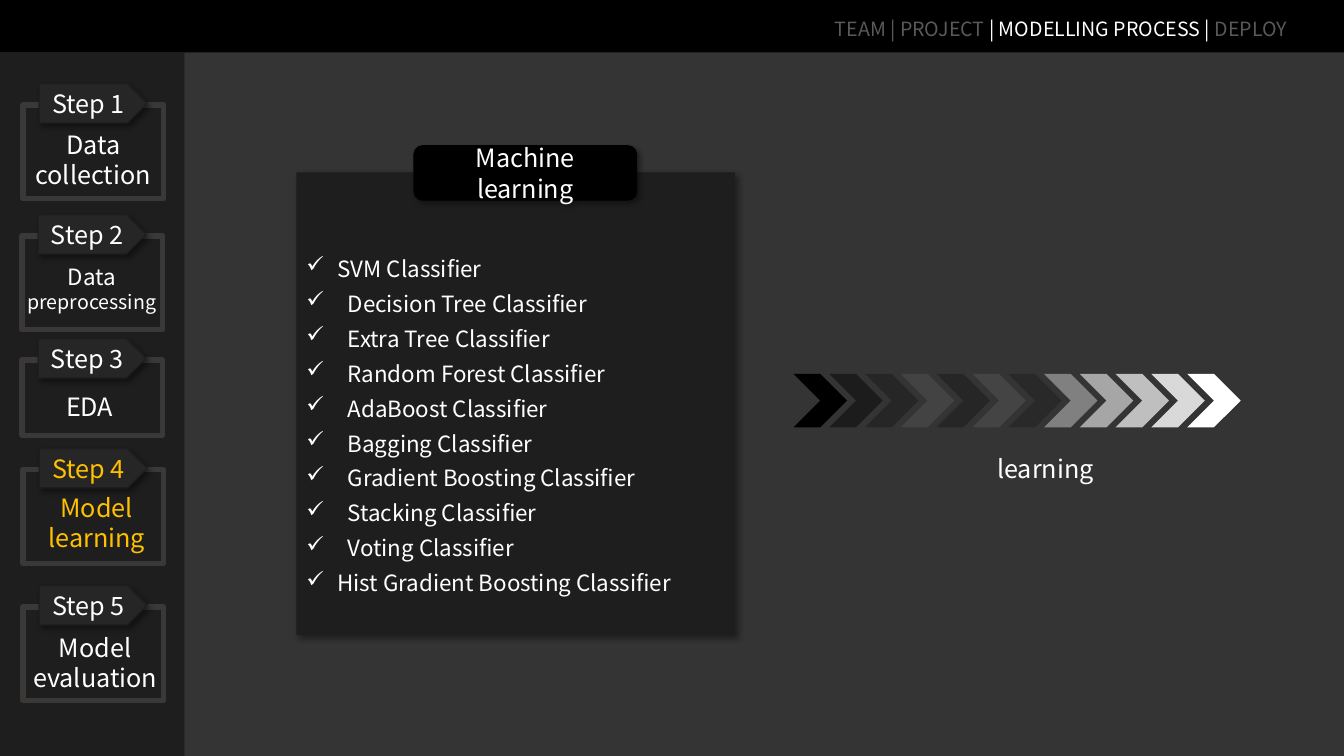
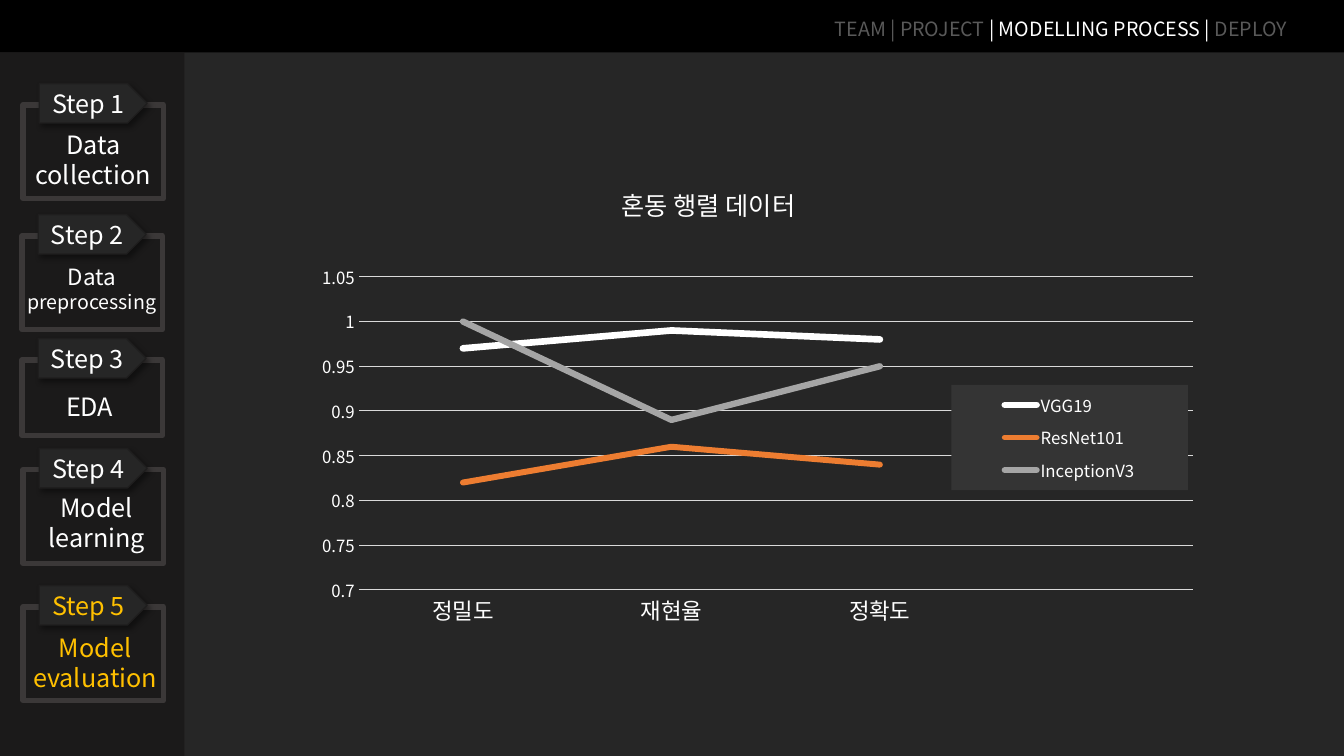
from lxml import etree
from pptx import Presentation
from pptx.chart.data import CategoryChartData
from pptx.dml.color import RGBColor
from pptx.enum.chart import XL_CHART_TYPE, XL_LEGEND_POSITION, XL_TICK_MARK
from pptx.enum.shapes import MSO_SHAPE
from pptx.enum.text import MSO_ANCHOR, MSO_AUTO_SIZE, PP_ALIGN
from pptx.oxml.ns import qn
from pptx.util import Inches, Pt

LEFT, CENTER = PP_ALIGN.LEFT, PP_ALIGN.CENTER
TOP = MSO_ANCHOR.TOP
NO_AUTOFIT = MSO_AUTO_SIZE.NONE
RECTANGLE, PENTAGON = MSO_SHAPE.RECTANGLE, MSO_SHAPE.PENTAGON
ROUNDED, CHEVRON = MSO_SHAPE.ROUNDED_RECTANGLE, MSO_SHAPE.CHEVRON
LINE_CHART = XL_CHART_TYPE.LINE
LEGEND_RIGHT = XL_LEGEND_POSITION.RIGHT
NO_TICK = XL_TICK_MARK.NONE

FONT = "Noto Sans CJK KR"
WHITE, BLACK, ACCENT, MUTED = "FFFFFF", "000000", "FFC000", "595959"
GRID, PANEL, TAG, FRAME = "D9D9D9", "1F1E1E", "262626", "3B3838"


def paint(shape, fill=None, alpha=100, line=None, width=1, shadow=False):
    shape.shadow.inherit = False
    if fill:
        shape.fill.solid()
        shape.fill.fore_color.rgb = RGBColor.from_string(fill)
        if alpha < 100:
            color = shape._element.spPr.find(".//" + qn("a:srgbClr"))
            etree.SubElement(color, qn("a:alpha"), val=str(alpha * 1000))
    else:
        shape.fill.background()
    if line:
        shape.line.color.rgb = RGBColor.from_string(line)
        shape.line.width = Pt(width)
    else:
        shape.line.fill.background()
    if shadow:
        effects = shape._element.spPr.find(qn("a:effectLst"))
        outer = etree.SubElement(effects, qn("a:outerShdw"), blurRad=str(Pt(4)),
                                 dist=str(Pt(3)), dir="2700000", algn="tl", rotWithShape="0")
        color = etree.SubElement(outer, qn("a:srgbClr"), val=BLACK)
        etree.SubElement(color, qn("a:alpha"), val="40000")


def write(paragraph, text, size=18, color=WHITE, align=CENTER):
    paragraph.alignment = align
    run = paragraph.add_run()
    run.text = text
    run.font.name = FONT
    run.font.size = Pt(size)
    run.font.bold = False
    run.font.color.rgb = RGBColor.from_string(color)


presentation = Presentation()
presentation.slide_width = Inches(13.33)
presentation.slide_height = Inches(7.5)

navigation = [("TEAM | PROJECT ", MUTED), ("| MODELLING PROCESS | ", WHITE), ("DEPLOY", MUTED)]
steps = [
    (0.23, 1.04, 0.93, (0.16, 1.23, 1.53, 0.71), [("Data collection", 18)]),
    (0.22, 2.34, 0.93, (0.09, 2.56, 1.64, 0.61), [("Data", 16), ("preprocessing", 14)]),
    (0.22, 3.57, 0.75, (0.46, 3.83, 0.86, 0.4), [("EDA", 18)]),
    (0.23, 4.66, 0.93, (0.31, 4.83, 1.3, 0.71), [("Model", 18), ("learning", 18)]),
    (0.23, 6.02, 0.93, (0.16, 6.22, 1.57, 0.71), [("Model", 18), ("evaluation", 18)]),
]

slides = []
for background, active_step in [("343434", 4), ("262626", 5)]:
    slide = presentation.slides.add_slide(presentation.slide_layouts[5])
    slides.append(slide)
    slide.background.fill.solid()
    slide.background.fill.fore_color.rgb = RGBColor.from_string(background)

    title = slide.shapes.title
    title.left, title.top = Inches(0), Inches(0)
    title.width, title.height = presentation.slide_width, Inches(0.52)
    paint(title, BLACK)
    frame = title.text_frame
    frame.auto_size = NO_AUTOFIT
    frame.word_wrap = True
    frame.vertical_anchor = TOP
    frame.margin_left, frame.margin_top = Inches(8.28), Inches(0.17)
    frame.margin_right = frame.margin_bottom = 0
    for text, color in navigation:
        write(frame.paragraphs[0], text, size=14, color=color, align=LEFT)

    sidebar = slide.shapes.add_shape(RECTANGLE, Inches(0), Inches(0.52), Inches(1.83), Inches(6.98))
    paint(sidebar, "181717", alpha=75)

    for number, (left, top, height, label_box, label_lines) in enumerate(steps, 1):
        color = ACCENT if number == active_step else WHITE
        group = slide.shapes.add_group_shape()
        outline = group.shapes.add_shape(RECTANGLE, Inches(left), Inches(top),
                                         Inches(1.39), Inches(height))
        paint(outline, line=FRAME, width=4)
        tag = group.shapes.add_shape(PENTAGON, Inches(left + 0.16), Inches(top - 0.21),
                                     Inches(1.07), Inches(0.39))
        paint(tag, TAG, line=PANEL, shadow=True)
        write(tag.text_frame.paragraphs[0], f"Step {number}", color=color)
        label = group.shapes.add_textbox(*map(Inches, label_box))
        label.text_frame.word_wrap = True
        for index, (text, size) in enumerate(label_lines):
            if index:
                label.text_frame.add_paragraph()
            write(label.text_frame.paragraphs[-1], text, size=size, color=color)

learning_slide, evaluation_slide = slides

classifiers = [
    ("SVM Classifier", 0.31),
    ("Decision Tree Classifier", 0.41),
    ("Extra Tree Classifier", 0.41),
    ("Random Forest Classifier", 0.41),
    ("AdaBoost Classifier", 0.41),
    ("Bagging Classifier", 0.41),
    ("Gradient Boosting Classifier", 0.41),
    ("Stacking Classifier", 0.41),
    ("Voting Classifier", 0.41),
    ("Hist Gradient Boosting Classifier", 0.31),
]
group = learning_slide.shapes.add_group_shape()
panel = group.shapes.add_shape(RECTANGLE, Inches(2.94), Inches(1.71), Inches(4.35), Inches(4.59))
paint(panel, PANEL, shadow=True)
frame = panel.text_frame
frame.vertical_anchor = TOP
frame.margin_top = Inches(0.74)
for index, (text, indent) in enumerate(classifiers):
    paragraph = frame.add_paragraph() if index else frame.paragraphs[0]
    properties = paragraph._p.get_or_add_pPr()
    properties.set("marL", str(Inches(indent)))
    properties.set("indent", str(-Inches(indent)))
    etree.SubElement(properties, qn("a:buChar"), char="✓")
    paragraph.line_spacing = 1.3
    write(paragraph, text, size=16, align=LEFT)

heading = group.shapes.add_shape(ROUNDED, Inches(4.1), Inches(1.44), Inches(2.22), Inches(0.55))
paint(heading, BLACK, shadow=True)
write(heading.text_frame.paragraphs[0], "Machine learning")

chevrons = [(BLACK, 100), (BLACK, 45), (BLACK, 25), (WHITE, 8), (BLACK, 25), ("444444", 100),
            ("2A2929", 100), ("808080", 100), ("A6A6A6", 100), ("BFBFBF", 100),
            (GRID, 100), (WHITE, 100)]
for index, (color, alpha) in enumerate(chevrons):
    chevron = learning_slide.shapes.add_shape(CHEVRON, Inches(7.87 + index * 0.355), Inches(3.71),
                                              Inches(0.53), Inches(0.53))
    paint(chevron, color, alpha=alpha)

caption = learning_slide.shapes.add_textbox(Inches(9.03), Inches(4.45), Inches(2.68), Inches(0.4))
caption.text_frame.word_wrap = True
write(caption.text_frame.paragraphs[0], "learning")

series_rows = [
    ("VGG19", (0.97, 0.99, 0.98, None), WHITE, 4.75),
    ("ResNet101", (0.82, 0.86, 0.84, None), "ED7D31", 4.25),
    ("InceptionV3", (1, 0.89, 0.95, None), "A5A5A5", 4.5),
]
chart_data = CategoryChartData()
chart_data.categories = ["정밀도", "재현율", "정확도", ""]
for name, values, color, width in series_rows:
    chart_data.add_series(name, values)
chart = evaluation_slide.shapes.add_chart(LINE_CHART, Inches(2.69), Inches(1.52),
                                          Inches(9.53), Inches(5.11), chart_data).chart
chart.font.size = Pt(10)
chart.font.name = FONT
chart.font.color.rgb = RGBColor.from_string(WHITE)
chart.has_title = True
write(chart.chart_title.text_frame.paragraphs[0], "혼동 행렬 데이터")

plot = chart.plots[0]
plot.vary_by_categories = False
for series, (name, values, color, width) in zip(plot.series, series_rows):
    series.smooth = False
    series.format.line.color.rgb = RGBColor.from_string(color)
    series.format.line.width = Pt(width)
    series._element.find(".//" + qn("a:ln")).set("cap", "rnd")

chart.has_legend = True
legend = chart.legend
legend.position = LEGEND_RIGHT
legend.include_in_layout = False
category_axis, value_axis = chart.category_axis, chart.value_axis
value_axis.minimum_scale, value_axis.maximum_scale = 0.7, 1.05
value_axis.major_unit = 0.05
value_axis.has_major_gridlines = True
value_axis.format.line.fill.background()
for line in (category_axis.format.line, value_axis.major_gridlines.format.line):
    line.color.rgb = RGBColor.from_string(GRID)
    line.width = Pt(0.75)
for axis in (category_axis, value_axis):
    axis.major_tick_mark = axis.minor_tick_mark = NO_TICK
for font, size in [(category_axis.tick_labels.font, 16), (value_axis.tick_labels.font, 12),
                   (legend.font, 12)]:
    font.name = FONT
    font.size = Pt(size)
    font.color.rgb = RGBColor.from_string(WHITE)

legend_format = etree.Element(qn("c:spPr"))
legend_fill = etree.SubElement(legend_format, qn("a:solidFill"))
etree.SubElement(legend_fill, qn("a:srgbClr"), val="343434")
legend._element.find(qn("c:overlay")).addnext(legend_format)

plot_area = chart._chartSpace.find(".//" + qn("c:plotArea"))
layouts = [
    (chart.chart_title._element, 1, {"x": 0.36, "y": 0.05}),
    (plot_area, 0, {"x": 0.091, "y": 0.24, "w": 0.868, "h": 0.608}),
    (legend._element, 1, {"x": 0.708, "y": 0.45, "w": 0.246, "h": 0.204}),
]
for element, position, places in layouts:
    previous = element.find(qn("c:layout"))
    if previous is not None:
        element.remove(previous)
    layout = etree.Element(qn("c:layout"))
    element.insert(position, layout)
    manual = etree.SubElement(layout, qn("c:manualLayout"))
    if element is plot_area:
        etree.SubElement(manual, qn("c:layoutTarget"), val="inner")
    for mode in ("xMode", "yMode"):
        etree.SubElement(manual, qn("c:" + mode), val="edge")
    for key, value in places.items():
        etree.SubElement(manual, qn("c:" + key), val=str(value))

for latin in list(chart._chartSpace.iter(qn("a:latin"))):
    east_asian = etree.Element(qn("a:ea"), typeface=FONT)
    latin.addnext(east_asian)

presentation.save("out.pptx")
